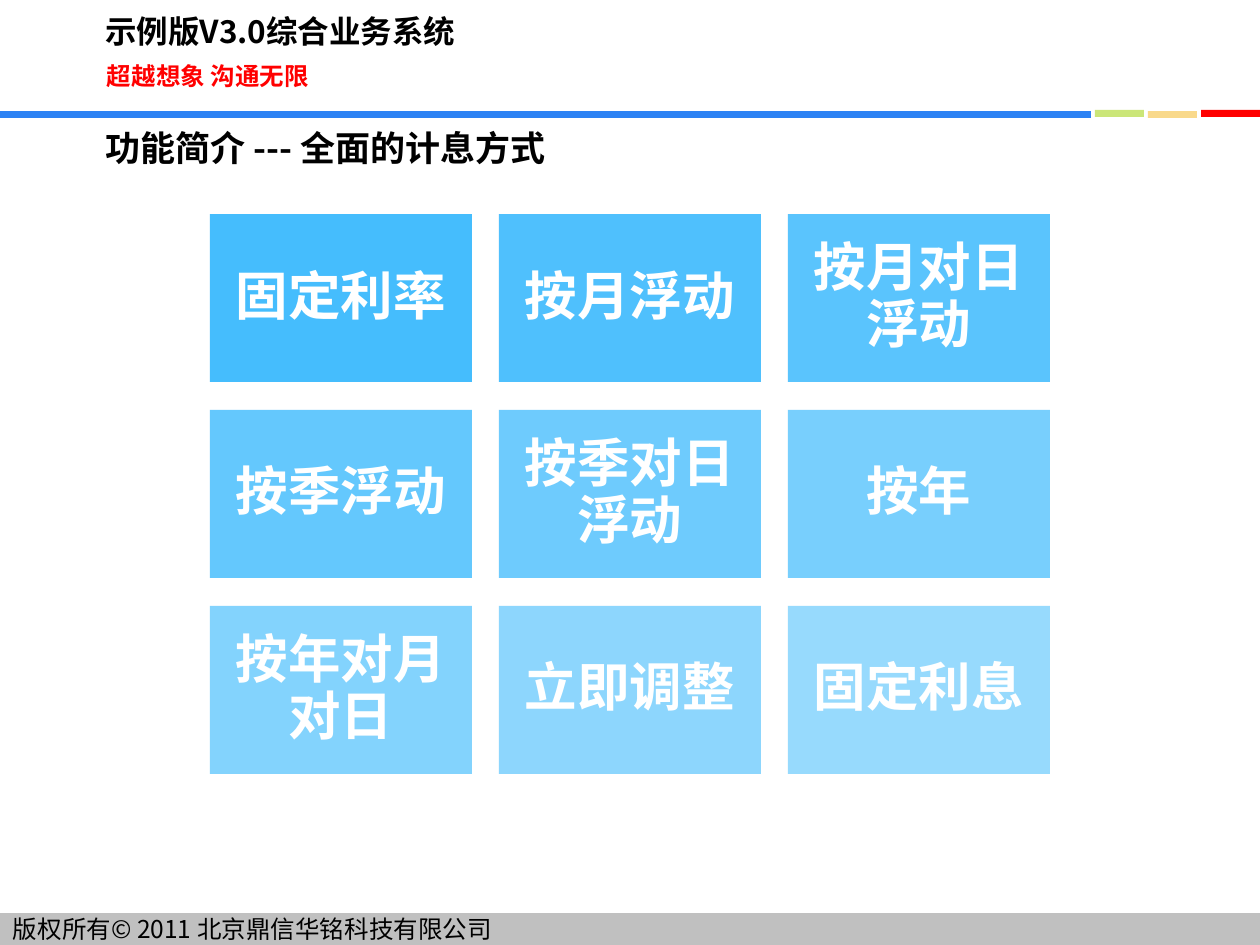
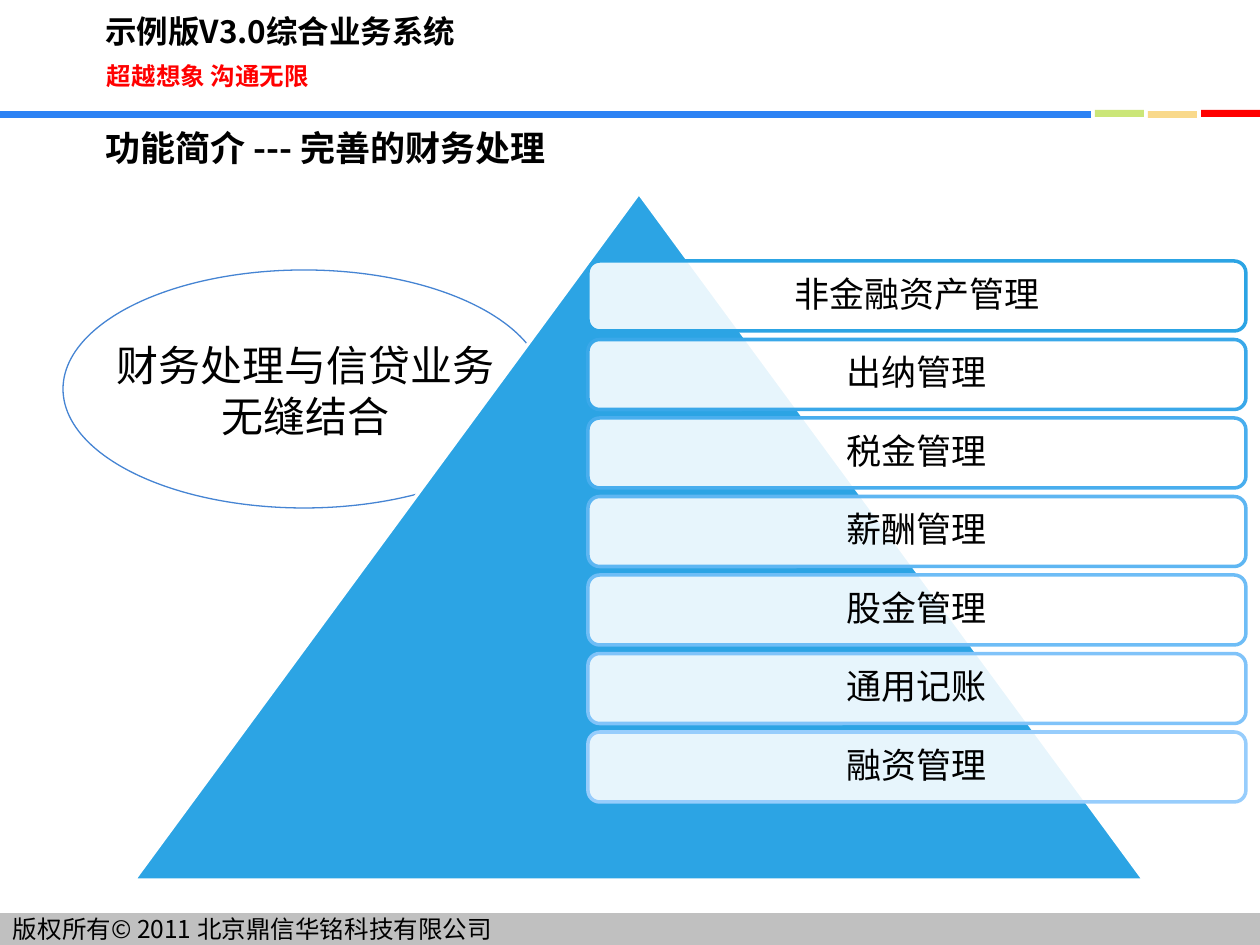
from lxml import etree
from pptx import Presentation
from pptx.dml.color import RGBColor
from pptx.enum.shapes import MSO_SHAPE
from pptx.enum.text import MSO_ANCHOR, PP_ALIGN
from pptx.oxml.ns import qn
from pptx.util import Pt

RECT, ROUNDED = MSO_SHAPE.RECTANGLE, MSO_SHAPE.ROUNDED_RECTANGLE
OVAL, TRIANGLE = MSO_SHAPE.OVAL, MSO_SHAPE.ISOSCELES_TRIANGLE
MIDDLE, TOP = MSO_ANCHOR.MIDDLE, MSO_ANCHOR.TOP
LEFT, CENTER = PP_ALIGN.LEFT, PP_ALIGN.CENTER

EMU_PER_PX = 914400 / 126
SLIDE_SIZE = (1260, 945)
CJK_FONT = "Noto Sans CJK SC"

COLORS = {
    "white": "FFFFFF", "black": "000000", "red": "FF0000", "grey": "C0C0C0",
    "blue": "2C82F4", "green": "CBE678", "sand": "F9D98B",
    "tile": "31B6FD", "pyramid": "2CA4E4", "outline": "4584D3",
}

PRODUCT = "示例版V3.0综合业务系统"
SLOGAN = "超越想象 沟通无限"
COPYRIGHT = "版权所有© 2011 北京鼎信华铭科技有限公司"
BAND = [
    ("blue", (0, 111, 1091, 7)),
    ("green", (1095, 110, 49, 7)),
    ("sand", (1148, 111, 49, 7)),
    ("red", (1201, 110, 59, 7)),
]

INTEREST_HEADING = "功能简介 --- 全面的计息方式"
INTEREST_METHODS = [
    "固定利率", "按月浮动", "按月对日浮动",
    "按季浮动", "按季对日浮动", "按年",
    "按年对月对日", "立即调整", "固定利息",
]

FINANCE_HEADING = "功能简介 --- 完善的财务处理"
FINANCE_NOTE = "财务处理与信贷业务无缝结合"
FINANCE_MODULES = [
    ("非金融资产管理", "2CA4E4"),
    ("出纳管理", "3AA8E9"),
    ("税金管理", "49AEEE"),
    ("薪酬管理", "5EB6F2"),
    ("股金管理", "6EBDF6"),
    ("通用记账", "80C3F9"),
    ("融资管理", "97CDFC"),
]

STYLES = {
    "product": {"font": {"size": Pt(18), "bold": True}},
    "slogan": {"font": {"size": Pt(14), "bold": True}, "color": "red"},
    "footer": {"font": {"size": Pt(14)}, "anchor": MIDDLE},
    "heading": {"font": {"size": Pt(20), "bold": True}},
    "note": {"font": {"size": Pt(24)}, "paragraph": {"alignment": CENTER}},
    "tile": {
        "font": {"size": Pt(30), "bold": True, "name": "Arial"},
        "paragraph": {"alignment": CENTER, "line_spacing": 0.9, "space_after": Pt(13)},
        "color": "white", "anchor": MIDDLE, "insets": (16, 16),
    },
    "module": {
        "font": {"size": Pt(20), "name": "Arial"},
        "paragraph": {"alignment": CENTER, "line_spacing": 0.9, "space_after": Pt(9)},
        "anchor": MIDDLE, "insets": (10, 10),
    },
}


def px(value):
    return round(value * EMU_PER_PX)


def rgb(color):
    return RGBColor.from_string(COLORS.get(color, color))


def set_all(target, values):
    for name, value in values.items():
        setattr(target, name, value)


def write(holder, text, style_name):
    style = STYLES[style_name]
    across, down = (px(inset) for inset in style.get("insets", (13, 6)))
    frame = holder.text_frame
    set_all(frame, {
        "word_wrap": True, "vertical_anchor": style.get("anchor", TOP),
        "margin_left": across, "margin_right": across,
        "margin_top": down, "margin_bottom": down,
    })
    paragraph = frame.paragraphs[0]
    set_all(paragraph, {"alignment": LEFT, **style.get("paragraph", {})})
    run = paragraph.add_run()
    run.text = text
    set_all(run.font, {"name": CJK_FONT, **style["font"]})
    run.font.color.rgb = rgb(style.get("color", "black"))
    east_asian = etree.SubElement(run.font._element, qn("a:ea"))
    east_asian.set("typeface", CJK_FONT)


def add_text(slide, box, text, style_name):
    write(slide.shapes.add_textbox(*map(px, box)), text, style_name)


def add_block(slide, kind, box, fill, opacity=100, line=None, line_width=2):
    block = slide.shapes.add_shape(kind, *map(px, box))
    block.shadow.inherit = False
    block.fill.solid()
    block.fill.fore_color.rgb = rgb(fill)
    if opacity < 100:
        color = block._element.spPr.find(qn("a:solidFill"))[0]
        etree.SubElement(color, qn("a:alpha")).set("val", str(opacity * 1000))
    if line:
        block.line.color.rgb = rgb(line)
        block.line.width = Pt(line_width)
    else:
        block.line.fill.background()
    return block


def add_page(deck, heading):
    slide = deck.slides.add_slide(deck.slide_layouts[6])
    footer = add_block(slide, RECT, (0, 913, 1260, 32), "grey")
    write(footer, COPYRIGHT, "footer")
    add_text(slide, (92, 6, 398, 50), PRODUCT, "product")
    add_text(slide, (94, 55, 242, 43), SLOGAN, "slogan")
    for color, box in BAND:
        add_block(slide, RECT, box, color)
    add_text(slide, (92, 120, 849, 55), heading, "heading")
    return slide


def add_interest_page(deck):
    slide = add_page(deck, INTEREST_HEADING)
    left, top, width, height = 210, 214, 262, 168
    column_gap, row_gap = 27, 28
    for index, method in enumerate(INTEREST_METHODS):
        row, column = divmod(index, 3)
        box = (left + column * (width + column_gap),
               top + row * (height + row_gap), width, height)
        tile = add_block(slide, RECT, box, "tile", opacity=90 - 5 * index)
        write(tile, method, "tile")


def add_finance_page(deck):
    slide = add_page(deck, FINANCE_HEADING)
    add_block(slide, OVAL, (63, 270, 482, 238), "white",
              line="outline", line_width=0.75)
    add_block(slide, TRIANGLE, (134, 193, 1010, 687), "pyramid", line="white")
    first_top, last_top = 261, 732
    pitch = (last_top - first_top) / (len(FINANCE_MODULES) - 1)
    for index, (module, outline) in enumerate(FINANCE_MODULES):
        card = add_block(slide, ROUNDED, (588, first_top + index * pitch, 658, 70),
                         "white", opacity=89, line=outline)
        write(card, module, "module")
    add_text(slide, (102, 334, 407, 113), FINANCE_NOTE, "note")


def main():
    deck = Presentation()
    deck.slide_width, deck.slide_height = map(px, SLIDE_SIZE)
    add_interest_page(deck)
    add_finance_page(deck)
    deck.save("out.pptx")


if __name__ == "__main__":
    main()
